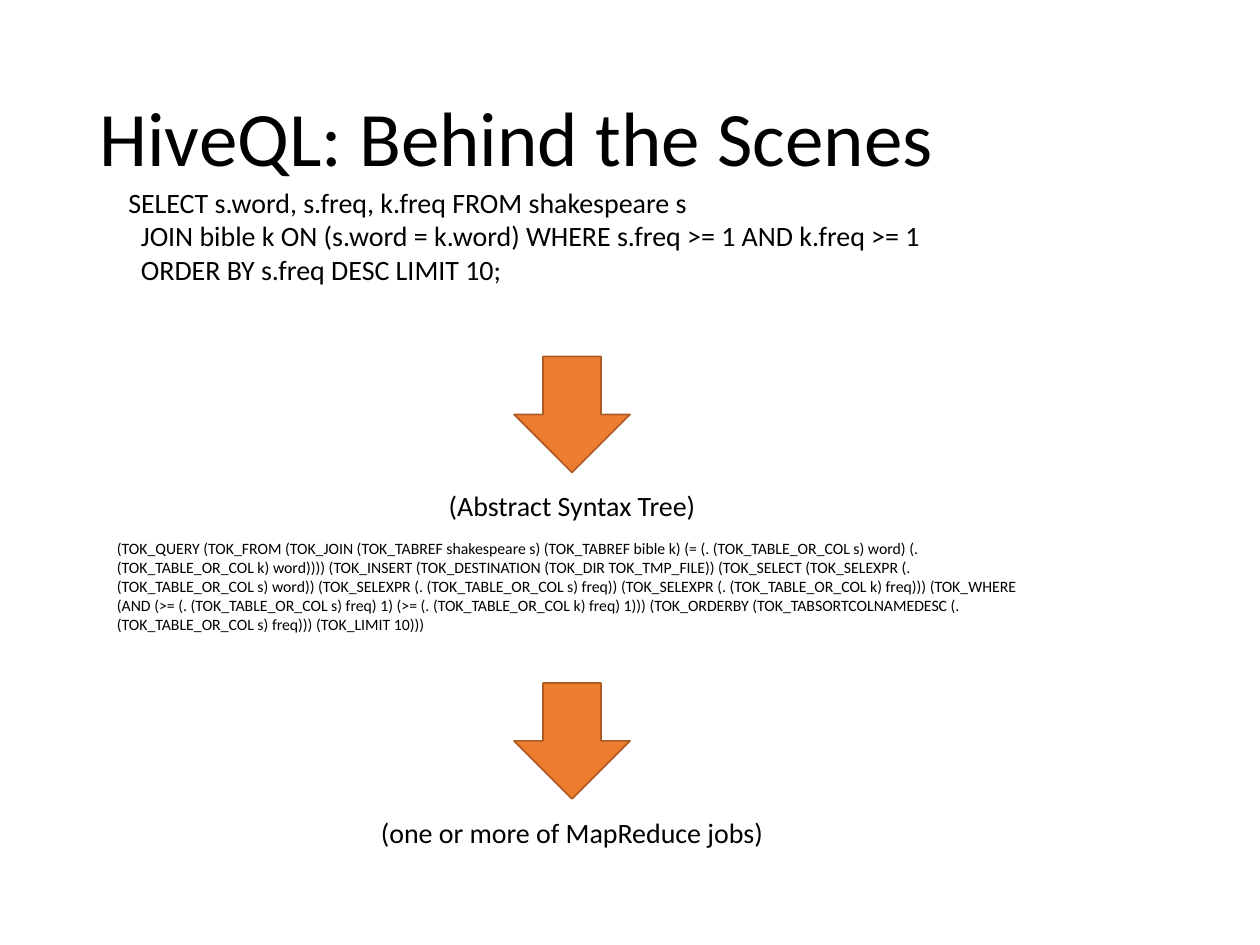
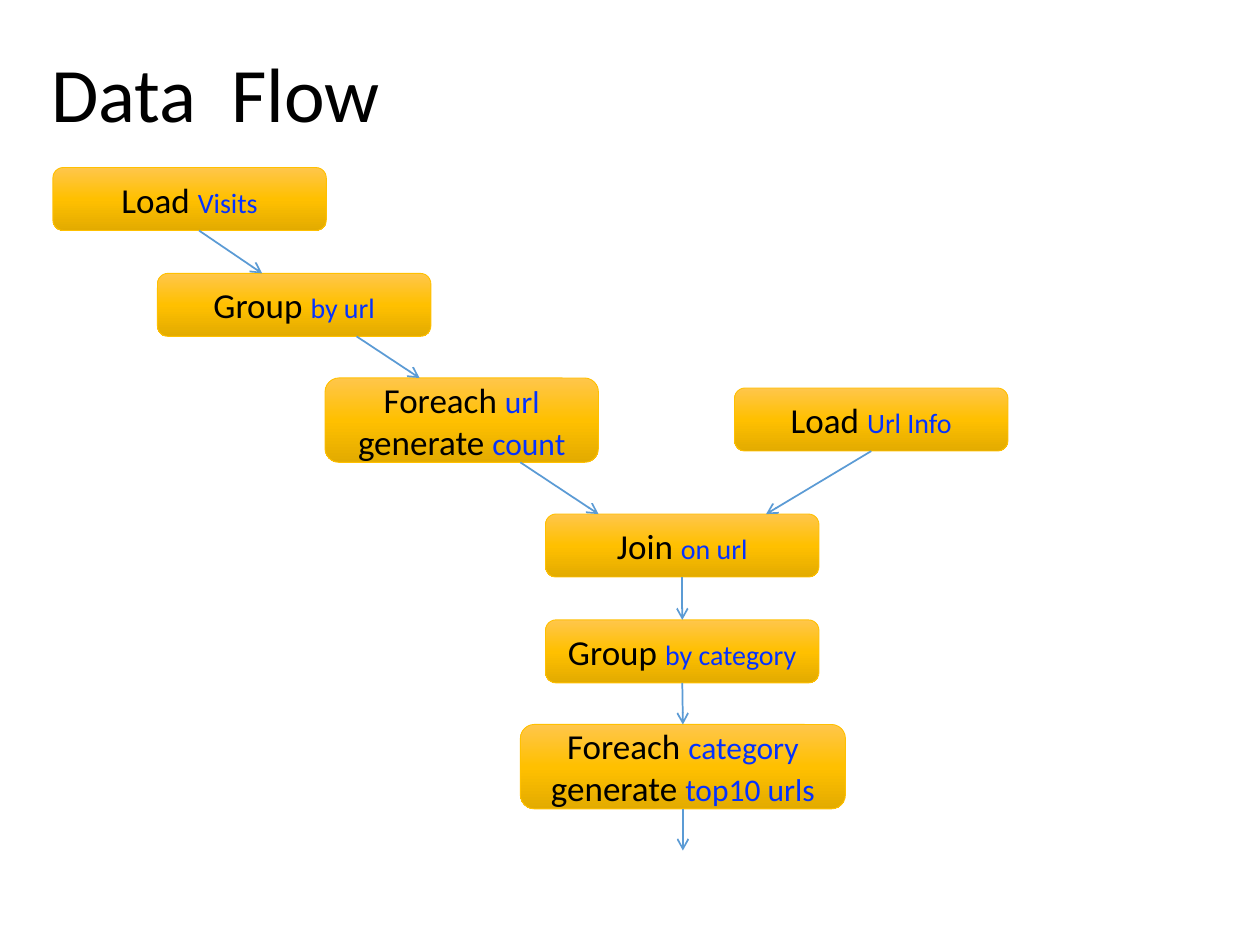
from pptx import Presentation
from pptx.dml.color import RGBColor
from pptx.enum.shapes import MSO_CONNECTOR, MSO_SHAPE
from pptx.enum.text import MSO_ANCHOR, MSO_AUTO_SIZE, PP_ALIGN
from pptx.oxml.ns import qn
from pptx.util import Inches, Pt
from lxml import etree

DOWN_ARROW, ROUNDED = MSO_SHAPE.DOWN_ARROW, MSO_SHAPE.ROUNDED_RECTANGLE
STRAIGHT = MSO_CONNECTOR.STRAIGHT
TOP, MIDDLE = MSO_ANCHOR.TOP, MSO_ANCHOR.MIDDLE
LEFT, CENTER = PP_ALIGN.LEFT, PP_ALIGN.CENTER
GROW = MSO_AUTO_SIZE.SHAPE_TO_FIT_TEXT

FONT = "Calibri"
BLACK = RGBColor(0x00, 0x00, 0x00)
BLUE = RGBColor(0x04, 0x32, 0xFF)
ORANGE = RGBColor(0xED, 0x7D, 0x31)
DARK_ORANGE = RGBColor(0xAF, 0x5C, 0x24)
GOLD = RGBColor(0xFF, 0xC0, 0x00)
LIGHT_GOLD = RGBColor(0xFF, 0xC6, 0x4B)
DARK_GOLD = RGBColor(0xE3, 0xAB, 0x00)
FLOW_BLUE = RGBColor(0x5B, 0x9B, 0xD5)
GOLD_STOPS = [(0, LIGHT_GOLD), (50, GOLD), (100, DARK_GOLD)]


def style_run(run, size, color):
    run.font.name = FONT
    run.font.size = Pt(size)
    run.font.color.rgb = color


def add_text(slide, place, text, size, align=LEFT, anchor=TOP):
    frame = slide.shapes.add_textbox(*map(Inches, place)).text_frame
    frame.word_wrap = True
    frame.vertical_anchor = anchor
    frame.text = text
    for paragraph in frame.paragraphs:
        paragraph.alignment = align
        for run in paragraph.runs:
            style_run(run, size, BLACK)
    return frame


prs = Presentation()
prs.slide_width, prs.slide_height = Inches(10), Inches(7.5)
blank = prs.slide_layouts[6]
hive, flow = [prs.slides.add_slide(blank) for _ in range(2)]

for slide, left, top, title in [
    (hive, 0.69, 0.4, "HiveQL: Behind the Scenes"),
    (flow, 0.31, 0.05, "Data  Flow"),
]:
    heading = add_text(slide, (left, top, 8.62, 1.45), title, 44, anchor=MIDDLE)
    heading.paragraphs[0].line_spacing = 0.9

QUERY = (
    "SELECT s.word, s.freq, k.freq FROM shakespeare s\n"
    "  JOIN bible k ON (s.word = k.word) WHERE s.freq >= 1 AND k.freq >= 1 \v"
    "  ORDER BY s.freq DESC LIMIT 10;"
)
SYNTAX_TREE = (
    "(TOK_QUERY (TOK_FROM (TOK_JOIN (TOK_TABREF shakespeare s) (TOK_TABREF bible k) "
    "(= (. (TOK_TABLE_OR_COL s) word) (. (TOK_TABLE_OR_COL k) word)))) "
    "(TOK_INSERT (TOK_DESTINATION (TOK_DIR TOK_TMP_FILE)) "
    "(TOK_SELECT (TOK_SELEXPR (. (TOK_TABLE_OR_COL s) word)) "
    "(TOK_SELEXPR (. (TOK_TABLE_OR_COL s) freq)) "
    "(TOK_SELEXPR (. (TOK_TABLE_OR_COL k) freq))) "
    "(TOK_WHERE (AND (>= (. (TOK_TABLE_OR_COL s) freq) 1) "
    "(>= (. (TOK_TABLE_OR_COL k) freq) 1))) "
    "(TOK_ORDERBY (TOK_TABSORTCOLNAMEDESC (. (TOK_TABLE_OR_COL s) freq))) "
    "(TOK_LIMIT 10)))"
)
for place, text, size, align in [
    ((0.92, 1.42, 7.67, 0.91), QUERY, 16, LEFT),
    ((0.83, 4.23, 7.42, 0.86), SYNTAX_TREE, 9, LEFT),
    ((2.33, 3.83, 4.42, 0.37), "(Abstract Syntax Tree)", 16, CENTER),
    ((2.33, 6.42, 4.42, 0.37), "(one or more of MapReduce jobs)", 16, CENTER),
]:
    add_text(hive, place, text, size, align).auto_size = GROW

for top in (2.83, 5.42):
    step = hive.shapes.add_shape(
        DOWN_ARROW, Inches(4.08), Inches(top), Inches(0.92), Inches(0.92))
    step.shadow.inherit = False
    step.fill.solid()
    step.fill.fore_color.rgb = ORANGE
    step.line.color.rgb = DARK_ORANGE
    step.line.width = Pt(1)

operators = {}
for key, left, top, width, lines in [
    ("load visits", 0.42, 1.33, 2.17, [("Load ", "Visits")]),
    ("group url", 1.25, 2.17, 2.17, [("Group ", "by url")]),
    ("count", 2.58, 3, 2.17, [("Foreach ", "url"), ("generate ", "count")]),
    ("load info", 5.83, 3.08, 2.17, [("Load ", "Url Info")]),
    ("join", 4.33, 4.08, 2.17, [("Join ", "on url")]),
    ("group category", 4.33, 4.92, 2.17, [("Group ", "by category")]),
    ("top10", 4.13, 5.75, 2.58, [("Foreach ", "category"), ("generate ", "top10 urls")]),
]:
    height, detail_size = (0.5, 16) if len(lines) == 1 else (0.67, 18)
    operator = flow.shapes.add_shape(
        ROUNDED, Inches(left), Inches(top), Inches(width), Inches(height))
    operator.shadow.inherit = False
    operator.fill.gradient()
    operator.fill.gradient_angle = 270
    stops = operator.element.spPr.find(qn("a:gradFill")).find(qn("a:gsLst"))
    for stop in list(stops):
        stops.remove(stop)
    for percent, color in GOLD_STOPS:
        stop = etree.SubElement(stops, qn("a:gs"), pos=str(percent * 1000))
        etree.SubElement(stop, qn("a:srgbClr"), val=str(color))
    operator.line.color.rgb = GOLD
    operator.line.width = Pt(0.5)
    frame = operator.text_frame
    frame.word_wrap = True
    frame.vertical_anchor = MIDDLE
    frame.text = "\n".join(verb for verb, _ in lines)
    for paragraph, (_, detail) in zip(frame.paragraphs, lines):
        paragraph.alignment = CENTER
        style_run(paragraph.runs[0], 20, BLACK)
        detail_run = paragraph.add_run()
        detail_run.text = detail
        style_run(detail_run, detail_size, BLUE)
    operators[key] = operator

for start, end, source, target in [
    ((1.58, 1.83), (2.08, 2.17), None, None),
    ((2.83, 2.67), (3.33, 3), None, None),
    ((4.13, 3.67), (4.75, 4.08), None, None),
    ((6.92, 3.58), (6.08, 4.08), "load info", None),
    ((5.42, 4.58), (5.42, 4.92), "join", "group category"),
    ((5.42, 5.42), (5.42, 5.75), "group category", "top10"),
    ((5.42, 6.42), (5.42, 6.75), "top10", None),
]:
    link = flow.shapes.add_connector(STRAIGHT, *map(Inches, start + end))
    if source:
        link.begin_connect(operators[source], 2)
    if target:
        link.end_connect(operators[target], 0)
    link.line.color.rgb = FLOW_BLUE
    link.line.width = Pt(1)
    etree.SubElement(link.line._get_or_add_ln(), qn("a:tailEnd"), type="arrow")
    etree.SubElement(link.element.spPr, qn("a:effectLst"))

prs.save("out.pptx")
